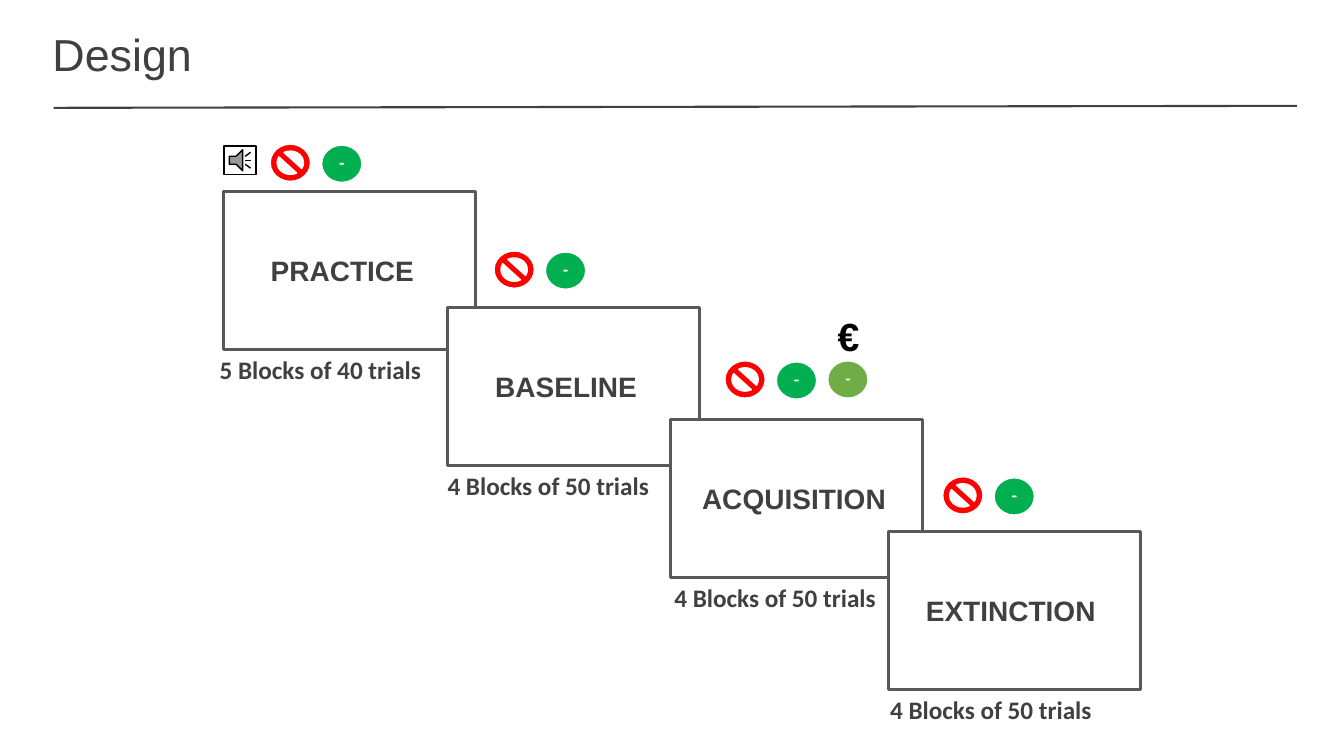
from dataclasses import dataclass

from lxml.etree import SubElement
from pptx import Presentation
from pptx.dml.color import RGBColor
from pptx.enum.shapes import MSO_CONNECTOR, MSO_SHAPE
from pptx.enum.text import MSO_ANCHOR, MSO_AUTO_SIZE, PP_ALIGN
from pptx.oxml.ns import qn
from pptx.util import Inches, Pt

COLORS = {"text": "404040", "frame": "595959", "white": "FFFFFF", "black": "000000",
          "stop": "FF0000", "go": "00B050", "reward": "70AD47"}
SLIDE_W, SLIDE_H = 13.33, 7.5
FRAME_W, FRAME_H = 2.5, 1.57
ICON_W, ICON_H = 0.4, 0.37
ICON_STEP = 0.51


@dataclass
class Stage:
    """One phase: frame corner, label and caption, with offsets from that corner."""
    name: str
    caption: str
    left: float
    top: float
    label_dx: float
    label_w: float
    caption_dx: float
    icon_dx: float
    icon_dy: float
    sound: bool = False
    reward: bool = False


STAGES = [
    Stage("PRACTICE", "5 Blocks of 40 trials", 2.22, 1.9, 0.05, 2.25, -0.14, 0.46, -0.47, sound=True),
    Stage("BASELINE", "4 Blocks of 50 trials", 4.44, 3.05, 0.05, 2.25, -0.1, 0.46, -0.56),
    Stage("ACQUISITION", "4 Blocks of 50 trials", 6.65, 4.16, 0.1, 2.25, -0.06, 0.54, -0.58, reward=True),
    Stage("EXTINCTION", "4 Blocks of 50 trials", 8.81, 5.27, -0.12, 2.67, -0.08, 0.54, -0.54),
]


def rgb(name):
    """Return the named colour."""
    return RGBColor.from_string(COLORS[name])


def write(tf, text, size, font="Arial", color="text", bold=True, align=PP_ALIGN.LEFT):
    """Put formatted text into a text frame and return its paragraph."""
    p = tf.paragraphs[0]
    p.alignment = align
    r = p.add_run()
    r.text = text
    r.font.size = Pt(size)
    r.font.name = font
    r.font.bold = bold
    r.font.color.rgb = rgb(color)
    return p


def add_text(slide, box, text, size, wrap=True, **fmt):
    """Add a text box that fits its text."""
    tf = slide.shapes.add_textbox(*map(Inches, box)).text_frame
    tf.word_wrap = wrap
    tf.auto_size = MSO_AUTO_SIZE.SHAPE_TO_FIT_TEXT
    write(tf, text, size, **fmt)


def add_box(slide, kind, box, fill, line="white", weight=1, adj=None):
    """Add a filled and outlined preset shape."""
    sp = slide.shapes.add_shape(kind, *map(Inches, box))
    sp.shadow.inherit = False
    sp.fill.solid()
    sp.fill.fore_color.rgb = rgb(fill)
    sp.line.color.rgb = rgb(line)
    sp.line.width = Pt(weight)
    if adj is not None:
        sp.adjustments[0] = adj


def add_header(slide, left, top, width, height):
    """Place the title and the rule under it."""
    title = slide.shapes.title
    title.left, title.top, title.width, title.height = map(Inches, (left, top, width, height))
    tf = title.text_frame
    tf.vertical_anchor = MSO_ANCHOR.MIDDLE
    tf.word_wrap = True
    write(tf, "Design", 32, bold=False).line_spacing = 0.9
    rule = slide.shapes.add_connector(MSO_CONNECTOR.STRAIGHT, Inches(0.04 * SLIDE_W), Inches(1.07),
                                      Inches(0.965 * SLIDE_W), Inches(1.05))
    rule.line.color.rgb = rgb("text")
    rule.line.width = Pt(1.5)
    SubElement(rule._element.spPr, qn("a:effectLst"))


def add_cues(slide, left, top, reward):
    """Place the row of cue icons, with the reward cue if asked."""
    add_box(slide, MSO_SHAPE.DONUT, (left + ICON_STEP, top + 0.01, ICON_W, ICON_H), "go", adj=0.494)
    add_box(slide, MSO_SHAPE.NO_SYMBOL, (left, top, ICON_W, ICON_H), "stop")
    if reward:
        x = left + 2 * ICON_STEP
        add_box(slide, MSO_SHAPE.DONUT, (x, top, ICON_W, ICON_H), "reward", adj=0.496)
        add_text(slide, (x, top - 0.53, 0.55, 0.57), "€", 28, color="black")


def add_stage(slide, s):
    """Place one phase: frame, label, caption and cues."""
    add_box(slide, MSO_SHAPE.RECTANGLE, (s.left, s.top, FRAME_W, FRAME_H), "white", "frame", 2.25)
    add_text(slide, (s.left + s.label_dx, s.top + 0.57, s.label_w, 0.44), s.name, 20,
             align=PP_ALIGN.CENTER)
    add_text(slide, (s.left + s.caption_dx, s.top + FRAME_H, 2.22, 0.4), s.caption, 18,
             wrap=False, font="Calibri")
    add_cues(slide, s.left + s.icon_dx, s.top + s.icon_dy, s.reward)
    if s.sound:
        add_box(slide, MSO_SHAPE.ACTION_BUTTON_SOUND, (s.left, s.top - 0.45, 0.32, 0.28),
                "white", "black")


def main():
    """Build and save the slide."""
    prs = Presentation()
    prs.slide_width, prs.slide_height = Inches(SLIDE_W), Inches(SLIDE_H)
    slide = prs.slides.add_slide(prs.slide_layouts[5])
    add_header(slide, 0.42, 0, 8.62, 1.13)
    for stage in STAGES:
        add_stage(slide, stage)
    prs.save("out.pptx")


if __name__ == "__main__":
    main()
